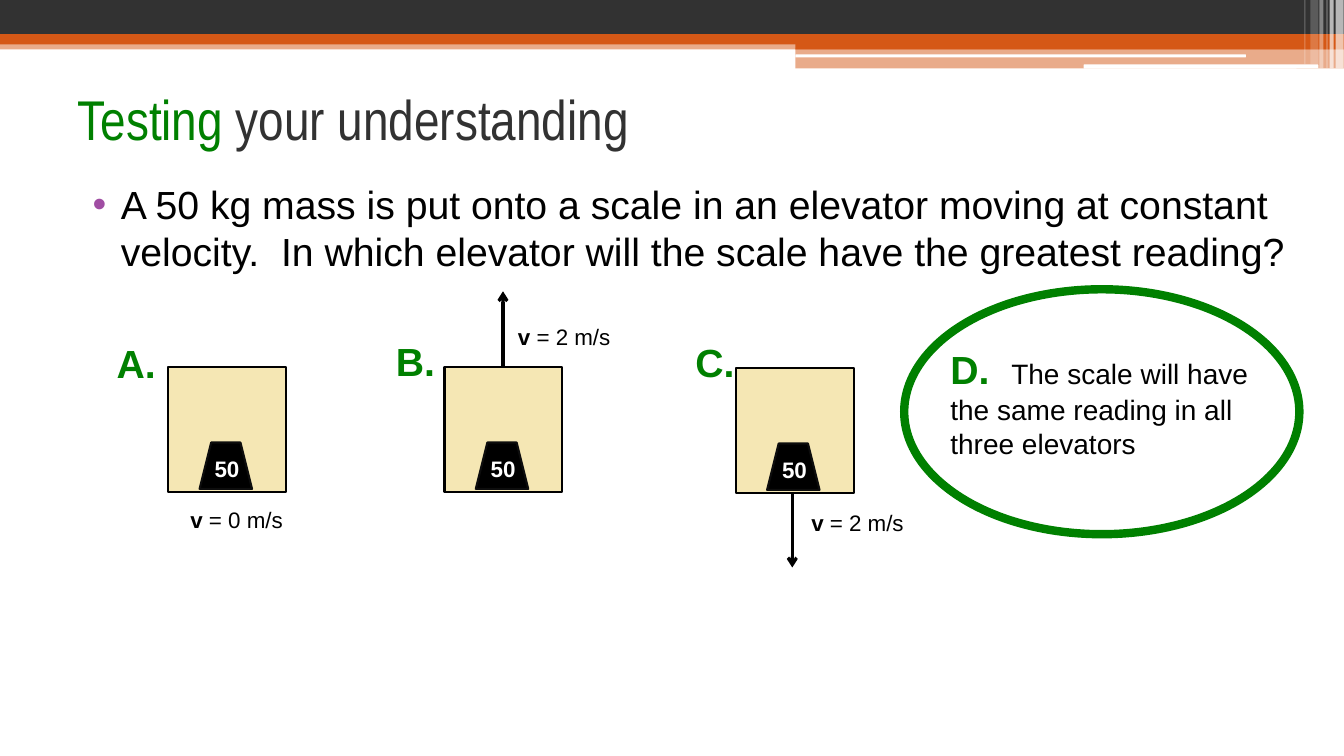
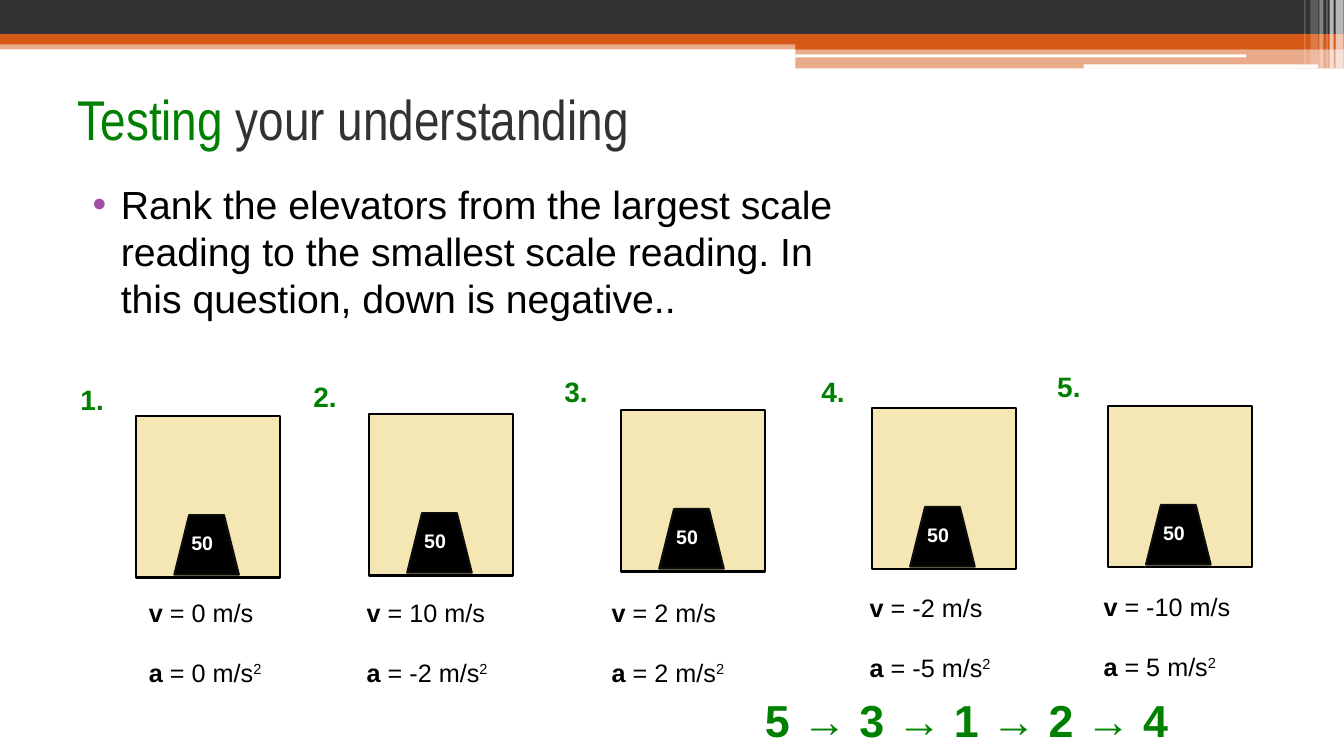
from pptx import Presentation
from pptx.dml.color import RGBColor
from pptx.enum.shapes import MSO_CONNECTOR, MSO_SHAPE
from pptx.enum.text import MSO_ANCHOR, PP_ALIGN
from pptx.oxml.ns import qn
from pptx.oxml.xmlchemy import OxmlElement
from pptx.util import Inches, Pt

RECTANGLE = MSO_SHAPE.RECTANGLE
ROUNDED = MSO_SHAPE.ROUNDED_RECTANGLE
TRAPEZOID = MSO_SHAPE.TRAPEZOID
OVAL = MSO_SHAPE.OVAL
STRAIGHT = MSO_CONNECTOR.STRAIGHT
LEFT = PP_ALIGN.LEFT
MIDDLE = MSO_ANCHOR.MIDDLE

# Every length is counted in square grid cells: 133.33 columns by 75 rows
CELL = Inches(0.1)
COLUMNS, ROWS = 133.33, 75

BLACK, WHITE, GREEN = "000000", "FFFFFF", "008000"
DARK, ORANGE, PURPLE = "323232", "D55816", "A04DA3"
CABIN, WEIGHT_EDGE = "F5E7B4", "0D0D0D"


def add_figure(shapes, kind, box, fill=None, line=None, width=1.5, opacity=100):
    shape = shapes.add_shape(kind, *[round(cells * CELL) for cells in box])
    shape.shadow.inherit = False
    if fill:
        shape.fill.solid()
        shape.fill.fore_color.rgb = RGBColor.from_string(fill)
        if opacity < 100:
            alpha = OxmlElement("a:alpha")
            alpha.set("val", str(opacity * 1000))
            shape._element.spPr.find(".//" + qn("a:srgbClr")).append(alpha)
    else:
        shape.fill.background()
    if line:
        shape.line.color.rgb = RGBColor.from_string(line)
        shape.line.width = Pt(width)
    else:
        shape.line.fill.background()
    return shape


def write_text(target, box, paragraphs, gap=0):
    """Fill a title, or a new text box, with runs of (text, colour, font formats)."""
    if box:
        target = target.add_textbox(*[round(cells * CELL) for cells in box])
    frame = target.text_frame
    frame.word_wrap = True
    for index, runs in enumerate(paragraphs):
        paragraph = frame.add_paragraph() if index else frame.paragraphs[0]
        paragraph.alignment = LEFT
        if index:
            paragraph.space_before = Pt(gap)
        for text, colour, formats in runs:
            run = paragraph.add_run()
            run.text = text
            run.font.color.rgb = RGBColor.from_string(colour)
            for name, value in {"name": "Arial", "bold": False, **formats}.items():
                setattr(run.font, name, value)
    return frame


presentation = Presentation()
presentation.slide_width = round(COLUMNS * CELL)
presentation.slide_height = round(ROWS * CELL)
title_only = presentation.slide_layouts[5]

# Shared title place
layout_title = title_only.placeholders[0]
for name, cells in {"left": 6.7, "top": 5.9, "width": 120, "height": 11.7}.items():
    setattr(layout_title, name, round(cells * CELL))
layout_title.text_frame.vertical_anchor = MIDDLE

# Shared bands: kind, box, colour, opacity
HALF = 78.9
bands = [
    (RECTANGLE, (0, 4, COLUMNS, 0.9), ORANGE, 50),
    (RECTANGLE, (0, 0, COLUMNS, 3.4), DARK, 100),
    (RECTANGLE, (0, 3.4, COLUMNS, 1), ORANGE, 100),
    (RECTANGLE, (HALF, 3.9, COLUMNS - HALF, 1), ORANGE, 100),
    (RECTANGLE, (HALF, 4.8, COLUMNS - HALF, 2), ORANGE, 50),
    (ROUNDED, (HALF, 5.4, 44.7, 0.3), WHITE, 100),
    (ROUNDED, (107.5, 6.4, 23.3, 0.4), WHITE, 100),
]
stripes = [(132.5, 0.8, 6.8, 65), (131.9, 0.4, 6.8, 65), (131.6, 0.1, 6.8, 60),
           (130.9, 0.4, 6.8, 40), (130, 0.8, 6.4, 20), (129.4, 0.1, 6.4, 30)]
bands += [(RECTANGLE, (left, 0, width, height), WHITE, opacity)
          for left, width, height, opacity in stripes]

# Slide contents; an elevator has its corner, label, label place,
# readings, readings place and, if it has one, arrow ends
slide_contents = [
    {
        "question": "A 50 kg mass is put onto a scale in an elevator moving at constant "
                    "velocity.  In which elevator will the scale have the greatest reading?",
        "question_width": 125.1,
        "cabin": (11.7, 12.4),
        "weight": (3.1, 7.5, 5.2, 4.6),
        "mass": (3.6, 8.3, 4.6, 3.7),
        "sizes": {"mass": 16, "label": 28, "reading": 16},
        "elevators": [
            ((16.7, 36.4), "A.", (10.6, 33.2), [("v", " = 0 m/s", "")], (17.9, 49.7), None),
            ((44.1, 36.4), "B.", (38.3, 33), [("v", " = 2 m/s", "")], (50.4, 31.6),
             (49.9, 36.4, 49.9, 28.9)),
            ((73, 36.5), "C.", (68, 33.1), [("v", " = 2 m/s", "")], (79.5, 50),
             (78.6, 48.8, 78.6, 56.3)),
        ],
    },
    {
        "question": "Rank the elevators from the largest scale reading to the smallest "
                    "scale reading. In this question, down is negative..",
        "question_width": 81.3,
        "cabin": (14.3, 16),
        "weight": (3.8, 9.8, 6.4, 5.9),
        "mass": (4.5, 10.9, 5.6, 4.3),
        "sizes": {"mass": 14, "label": 20, "reading": 18},
        "elevators": [
            (corner, f"{number}.", label_place,
             [("v", f" = {velocity} m/s", ""), ("a", f" = {acceleration} m/s", "2")],
             reading_place, None)
            for number, (corner, label_place, velocity, acceleration, reading_place)
            in enumerate([
                ((13.5, 41.3), (7, 37.5), 0, 0, (13.8, 58.8)),
                ((36.6, 41.1), (30.1, 37.2), 10, -2, (35.4, 58.8)),
                ((61.6, 40.7), (55, 36.7), 2, 2, (59.7, 58.8)),
                ((86.5, 40.5), (80.5, 36.7), -2, -5, (85.3, 58.3)),
                ((109.9, 40.3), (103.9, 36.2), -10, 5, (108.5, 58.2)),
            ], start=1)
        ],
    },
]

for content in slide_contents:
    slide = presentation.slides.add_slide(title_only)
    sizes = {part: Pt(points) for part, points in content["sizes"].items()}

    # Title
    title_font = {"name": "Arial Narrow", "size": Pt(40)}
    write_text(slide.shapes.title, None,
               [[("Testing", GREEN, title_font), (" your understanding", DARK, title_font)]])

    # Bulleted question
    frame = write_text(slide.shapes, (7, 17.4, content["question_width"], 12),
                       [[(content["question"], BLACK, {"size": Pt(28)})]])
    properties = frame.paragraphs[0]._p.get_or_add_pPr()
    properties.set("marL", str(Inches(0.4)))
    properties.set("indent", str(-Inches(0.28)))
    bullet_colour = OxmlElement("a:buClr")
    purple = OxmlElement("a:srgbClr")
    purple.set("val", PURPLE)
    bullet_colour.append(purple)
    bullet_font = OxmlElement("a:buFont")
    bullet_font.set("typeface", "Arial")
    bullet = OxmlElement("a:buChar")
    bullet.set("char", "•")
    properties.extend([bullet_colour, bullet_font, bullet])

    # Elevators, one group each
    for (left, top), label, label_place, readings, reading_place, arrow in content["elevators"]:
        shapes = slide.shapes.add_group_shape().shapes
        add_figure(shapes, RECTANGLE, (left, top, *content["cabin"]), CABIN, BLACK)
        right, down, *weight_size = content["weight"]
        add_figure(shapes, TRAPEZOID, (left + right, top + down, *weight_size),
                   BLACK, WEIGHT_EDGE)
        right, down, *mass_size = content["mass"]
        write_text(shapes, (left + right, top + down, *mass_size),
                   [[("50", WHITE, {"size": sizes["mass"], "bold": True})]])
        write_text(shapes, (*label_place, 7, 5),
                   [[(label, GREEN, {"size": sizes["label"], "bold": True})]])

        reading_font = {"size": sizes["reading"]}
        paragraphs = [[(symbol, BLACK, {**reading_font, "bold": True}),
                       (value, BLACK, reading_font), (power, BLACK, reading_font)][:3 if power else 2]
                      for symbol, value, power in readings]
        frame = write_text(shapes, (*reading_place, 17, 4 * len(readings)), paragraphs, gap=21)
        for paragraph in frame.paragraphs:
            for power in paragraph.runs[2:]:
                power.font._element.set("baseline", "30000")

        if arrow:
            connector = shapes.add_connector(STRAIGHT, *[round(cells * CELL) for cells in arrow])
            connector.line.color.rgb = RGBColor.from_string(BLACK)
            connector.line.width = Pt(2.25)
            arrowhead = OxmlElement("a:tailEnd")
            arrowhead.set("type", "arrow")
            connector_properties = connector._element.spPr
            connector_properties.find(qn("a:ln")).append(arrowhead)
            connector_properties.append(OxmlElement("a:effectLst"))

question_slide, ranking_slide = presentation.slides

# Circled answer of the first slide
write_text(question_slide.shapes, (93.3, 33.8, 32.8, 12.5), [[
    ("D.  ", GREEN, {"size": Pt(28), "bold": True}),
    ("The scale will have the same reading in all three elevators", BLACK, {"size": Pt(20)}),
]])
add_figure(question_slide.shapes, OVAL, (89.7, 28.7, 39.2, 24.3), line=GREEN, width=6)

# Ranking answer of the second slide
write_text(ranking_slide.shapes, (74.9, 68.2, 50, 6.4),
           [[("5 → 3 → 1 → 2 → 4", GREEN, {"size": Pt(32), "bold": True})]])

# Bands go behind everything on the slide master
master_tree = presentation.slide_master.shapes._spTree
for index, (kind, box, colour, opacity) in enumerate(bands):
    band = add_figure(question_slide.shapes, kind, box, colour, opacity=opacity)
    band._element.nvSpPr.cNvPr.set("id", str(100 + index))
    master_tree.insert(2 + index, band._element)

presentation.save("out.pptx")
